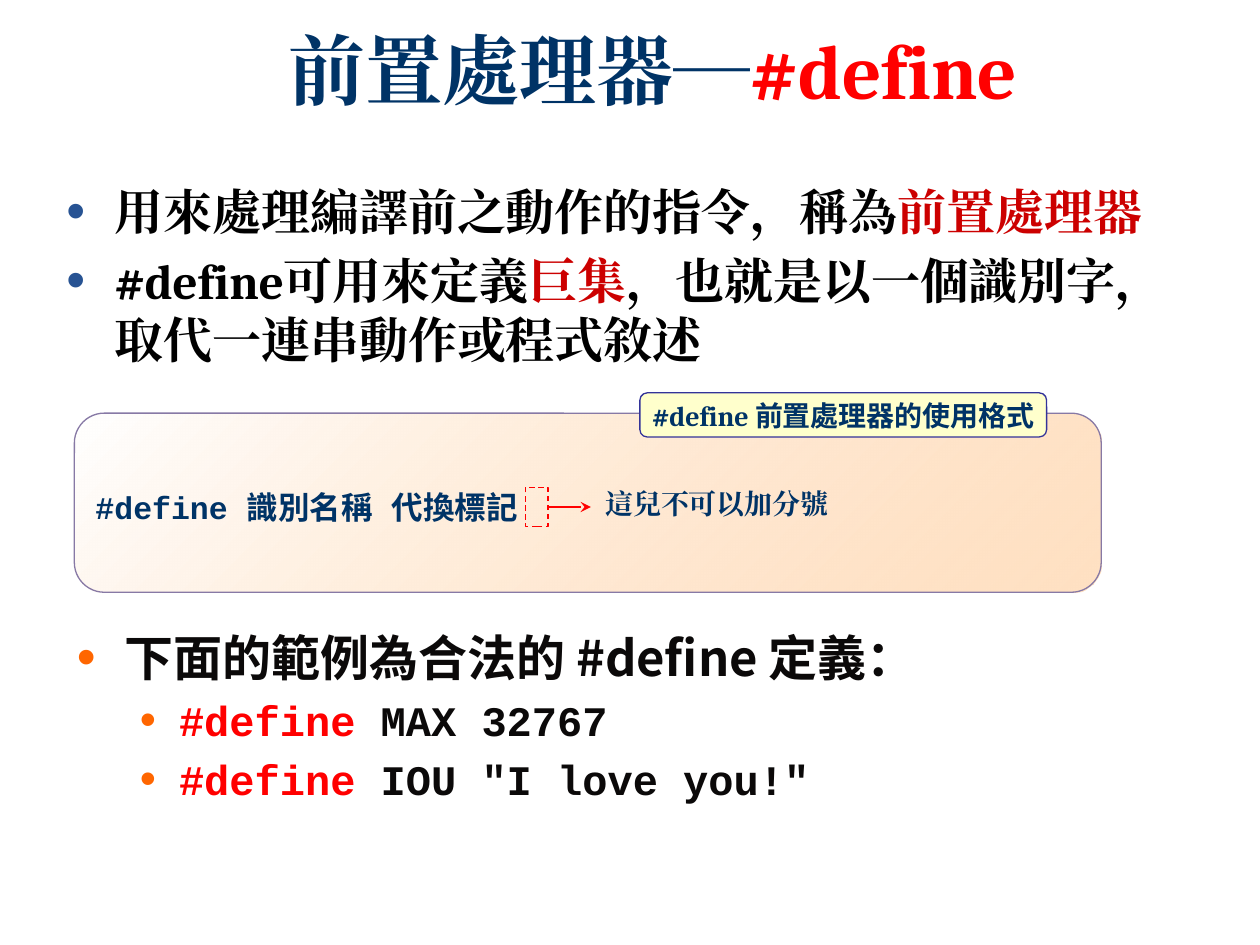
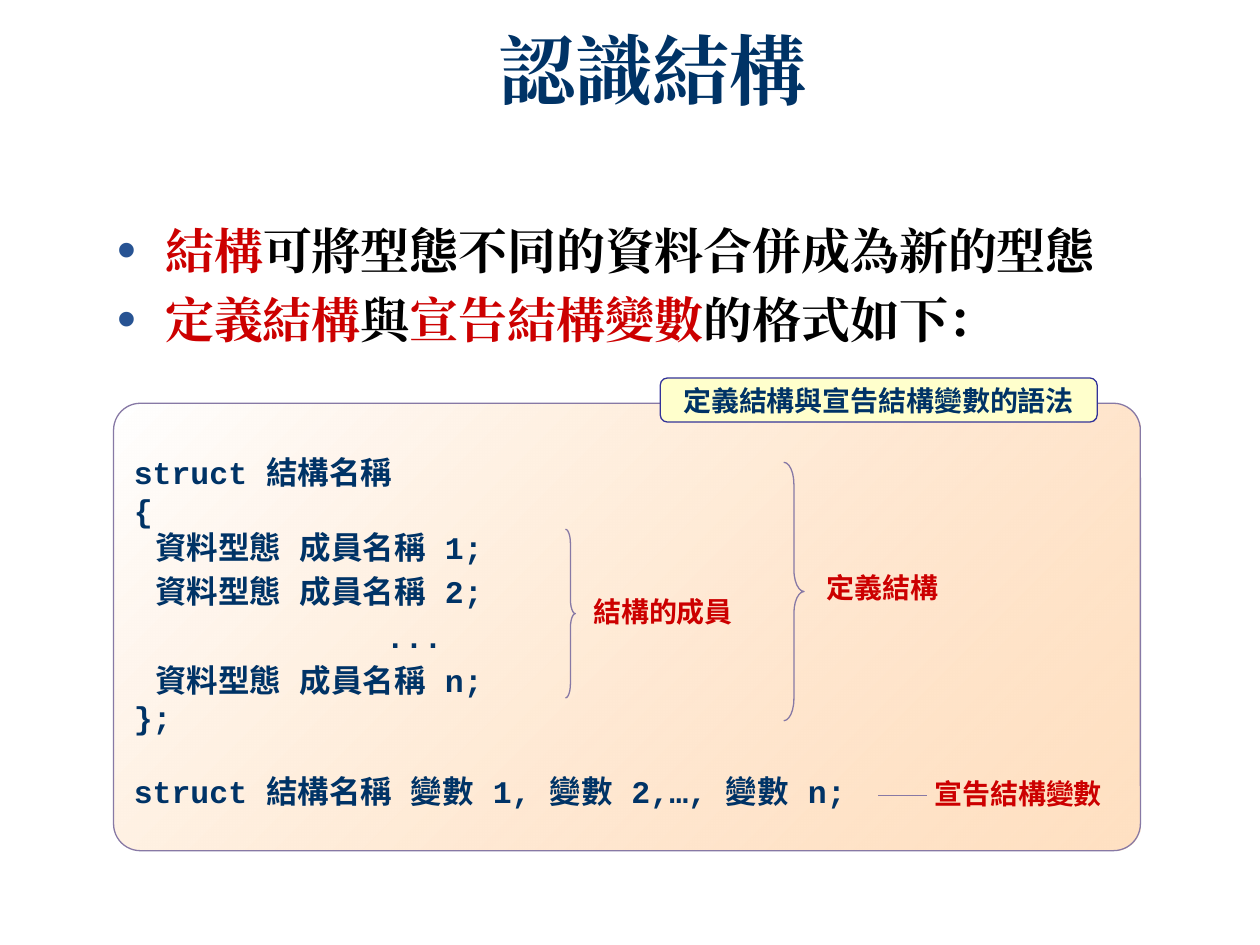
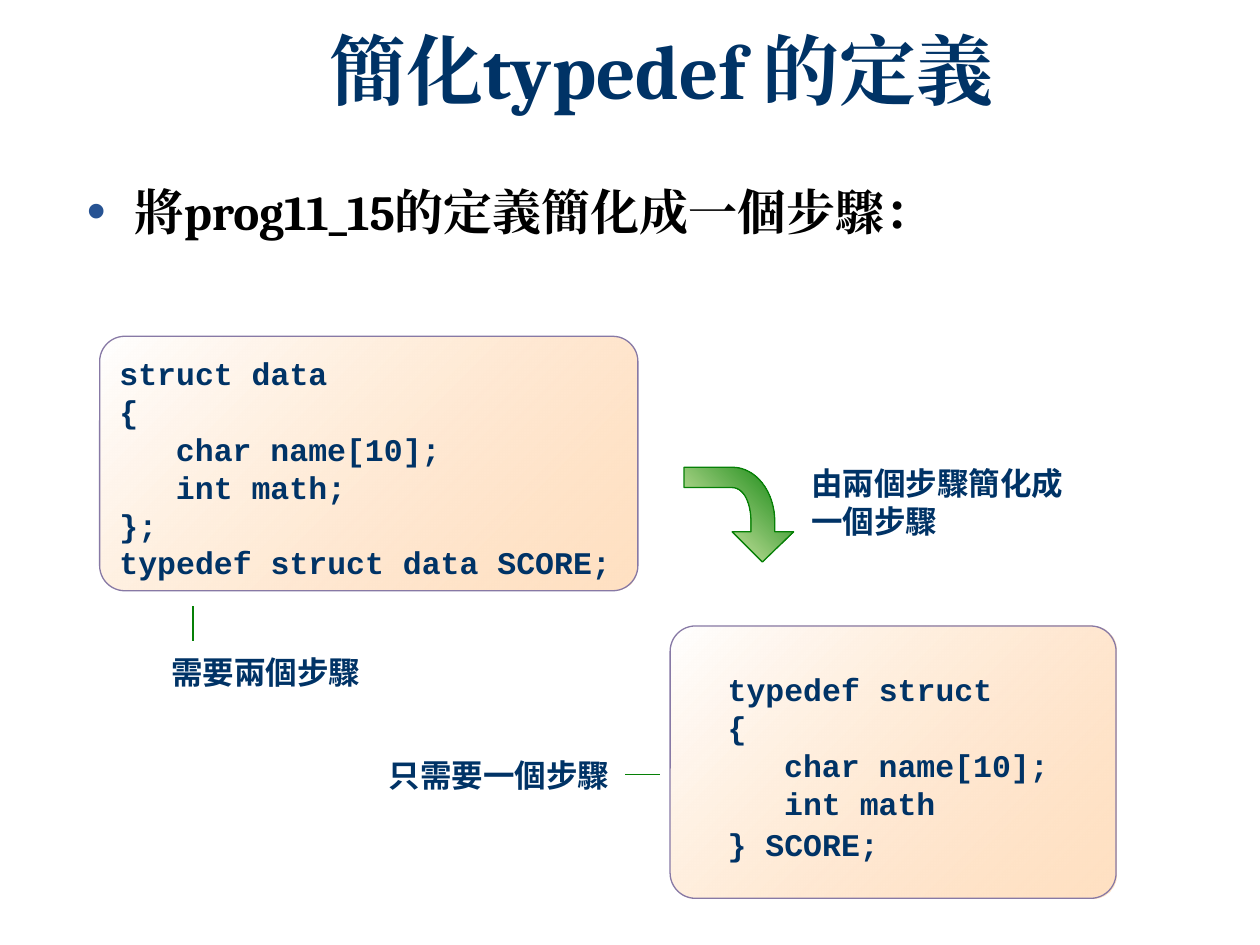
from dataclasses import dataclass, replace
from typing import NamedTuple

from lxml.etree import SubElement
from pptx import Presentation
from pptx.dml.color import RGBColor
from pptx.enum.dml import MSO_LINE_DASH_STYLE as Dash
from pptx.enum.shapes import MSO_CONNECTOR as Connector, MSO_SHAPE as Preset
from pptx.enum.text import MSO_ANCHOR as Anchor, MSO_AUTO_SIZE as AutoSize, PP_ALIGN as Align
from pptx.oxml.ns import qn
from pptx.util import Cm, Pt

NAVY, RED, CRIMSON, BLACK, INK = "003366", "FF0000", "CC0000", "000000", "0B0909"
BLUE_BULLET, ORANGE_BULLET = "275393", "FF6600"
WHITE, PEACH, CREAM, VIOLET, INDIGO, GREEN = "FFFFFF", "FFCC99", "FFFFCC", "8779A5", "333399", "068006"


class Box(NamedTuple):
    """Left, top, width and height in centimetres."""

    left: float
    top: float
    width: float
    height: float


class Style(NamedTuple):
    """Font, size in points and colour of a run."""

    font: str
    size: float
    color: str


class Run(NamedTuple):
    """A piece of text in one style."""

    text: str
    style: Style


@dataclass(frozen=True)
class Line:
    """One paragraph with its layout; the indents are in centimetres."""

    runs: tuple[Run, ...]
    align: Align = Align.LEFT
    indent: float = 0
    hanging: float = 0
    before: float = 0
    after: float = 0
    spacing: float | None = None
    bullet: str = ""


@dataclass(frozen=True)
class Frame:
    """How text sits in its shape; insets run left, top, right, bottom."""

    insets: tuple[float, float, float, float] = (0.25, 0.13, 0.25, 0.13)
    anchor: Anchor = Anchor.TOP
    wrap: bool = True
    grow: bool = False


TITLE = Style("Cambria", 44, NAVY)
BODY = Style("Cambria", 28, BLACK)
KEYWORD = BODY._replace(color=CRIMSON)
CODE = Style("Courier New", 18, NAVY)
TAG = Style("Noto Sans CJK JP", 16, NAVY)
SMALL = Style("Cambria", 16, NAVY)
LABEL = Style("Arial", 16, CRIMSON)
NOTE = Style("Arial", 18, NAVY)
EXAMPLE = Style("Noto Sans CJK SC", 28, INK)
EXAMPLE_CODE = Style("Courier New", 24, INK)

PANEL_FRAME = Frame(insets=(0.25, 0.3, 0.25, 0.13), anchor=Anchor.MIDDLE)
TAG_FRAME = Frame(anchor=Anchor.MIDDLE, wrap=False)
LABEL_FRAME = Frame(anchor=Anchor.MIDDLE, wrap=False, grow=True)
NOTE_FRAME = Frame(grow=True)


def rgb(color: str) -> RGBColor:
    """Turn a hex string into a colour."""
    return RGBColor.from_string(color)


def plain(text: str, style: Style, **layout) -> Line:
    """Make a paragraph of a single run."""
    return Line((Run(text, style),), **layout)


def bullet(*runs: Run, color: str = BLUE_BULLET, indent: float = 0.97, hanging: float = 0.97) -> Line:
    """Make a bulleted paragraph spaced by a fifth of its text size."""
    return Line(runs, indent=indent, hanging=hanging, before=0.2 * runs[0].style.size, bullet=color)


def write(shape, lines: list[Line], frame: Frame) -> None:
    """Write paragraphs run by run into a shape."""
    text_frame = shape.text_frame
    text_frame.word_wrap = frame.wrap
    text_frame.vertical_anchor = frame.anchor
    text_frame.auto_size = AutoSize.SHAPE_TO_FIT_TEXT if frame.grow else AutoSize.NONE
    left, top, right, bottom = map(Cm, frame.insets)
    text_frame.margin_left, text_frame.margin_top = left, top
    text_frame.margin_right, text_frame.margin_bottom = right, bottom
    for index, line in enumerate(lines):
        paragraph = text_frame.add_paragraph() if index else text_frame.paragraphs[0]
        paragraph.alignment = line.align
        paragraph.space_before, paragraph.space_after = Pt(line.before), Pt(line.after)
        if line.spacing:
            paragraph.line_spacing = line.spacing
        properties = paragraph._p.get_or_add_pPr()
        properties.set("marL", str(Cm(line.indent)))
        properties.set("indent", str(-Cm(line.hanging)))
        if line.bullet:
            bullet_color = SubElement(properties, qn("a:buClr"))
            SubElement(bullet_color, qn("a:srgbClr"), val=line.bullet)
            SubElement(properties, qn("a:buSzPct"), val="110000")
            SubElement(properties, qn("a:buFont"), typeface="Arial")
            SubElement(properties, qn("a:buChar"), char="•")
        for text, style in line.runs:
            run = paragraph.add_run()
            run.text = text
            run.font.name, run.font.size, run.font.bold = style.font, Pt(style.size), True
            run.font.color.rgb = rgb(style.color)
            SubElement(run._r.get_or_add_rPr(), qn("a:ea"), typeface=style.font)


def add_text(slide, box: Box, lines: list[Line], frame: Frame = Frame()) -> None:
    """Add a text box."""
    write(slide.shapes.add_textbox(*map(Cm, box)), lines, frame)


def outline(shape, color: str) -> None:
    """Give a shape or connector a thin line."""
    shape.line.color.rgb = rgb(color)
    shape.line.width = Pt(0.75)


def shade(shape, start: str, end: str, angle: float) -> None:
    """Fill a shape with a two-colour gradient."""
    shape.fill.gradient()
    shape.fill.gradient_angle = angle
    for stop, position, color in zip(shape.fill.gradient_stops, (0, 1), (start, end)):
        stop.position = position
        stop.color.rgb = rgb(color)


def add_preset(slide, preset: Preset, box: Box, line: str, adjust: float | None = None):
    """Add an unfilled preset shape."""
    shape = slide.shapes.add_shape(preset, *map(Cm, box))
    shape.shadow.inherit = False
    shape.fill.background()
    outline(shape, line)
    if adjust is not None:
        shape.adjustments[0] = adjust
    return shape


def add_panel(slide, box: Box, adjust: float, lines: list[Line]) -> None:
    """Add a shaded code panel."""
    shape = add_preset(slide, Preset.ROUNDED_RECTANGLE, box, VIOLET, adjust)
    shade(shape, WHITE, PEACH, 315)
    last_stop = list(shape.element.iter(qn("a:gs")))[-1]
    SubElement(last_stop[0], qn("a:alpha"), val="59000")
    write(shape, lines, PANEL_FRAME)


def add_tag(slide, box: Box, *runs: Run) -> None:
    """Add the yellow heading on a panel's top edge."""
    shape = add_preset(slide, Preset.ROUNDED_RECTANGLE, box, INDIGO)
    shape.fill.solid()
    shape.fill.fore_color.rgb = rgb(CREAM)
    write(shape, [Line(runs, align=Align.CENTER)], TAG_FRAME)


def add_line(slide, start: tuple[float, float], end: tuple[float, float], color: str):
    """Add a thin straight connector."""
    connector = slide.shapes.add_connector(Connector.STRAIGHT, *map(Cm, (*start, *end)))
    outline(connector, color)
    SubElement(connector.element.spPr, qn("a:effectLst"))
    return connector


def curve(*controls: tuple[float, float], steps: int = 16) -> list[tuple[float, float]]:
    """Sample a cubic curve after its first point."""
    points = []
    for step in range(1, steps + 1):
        t = step / steps
        weights = ((1 - t) ** 3, 3 * t * (1 - t) ** 2, 3 * t**2 * (1 - t), t**3)
        points.append(tuple(sum(w * p[axis] for w, p in zip(weights, controls)) for axis in (0, 1)))
    return points


def add_bent_arrow(slide) -> None:
    """Add the green arrow that bends downwards."""
    outer = curve((15.62, 10.52), (15.62, 9.91), (15.24, 9.42), (14.76, 9.42))
    inner = curve((14.76, 9.83), (14.99, 9.83), (15.14, 10.13), (15.14, 10.52))
    points = [(16, 10.72), (15.62, 10.72), (15.62, 10.52), *outer, (13.79, 9.42), (13.79, 9.83),
              (14.76, 9.83), *inner, (15.14, 10.72), (14.76, 10.72)]
    builder = slide.shapes.build_freeform(Cm(15.37), Cm(11.33))
    builder.add_line_segments([(Cm(x), Cm(y)) for x, y in points], close=True)
    arrow = builder.convert_to_shape()
    arrow.shadow.inherit = False
    shade(arrow, GREEN, CREAM, 225)
    outline(arrow, GREEN)


def add_titled_slide(presentation, *runs: Run, height: float = 3.99):
    """Add a blank slide with a centred title."""
    slide = presentation.slides.add_slide(presentation.slide_layouts[6])
    add_text(slide, Box(2.11, 0.53, 22.45, height), [Line(runs, align=Align.CENTER, spacing=0.9)])
    return slide


def build_define(presentation) -> None:
    """Build the slide on #define."""
    slide = add_titled_slide(presentation, Run("前置處理器─", TITLE),
                             Run("#define ", TITLE._replace(color=RED)), height=2.11)
    add_text(slide, Box(1.09, 3.53, 22.43, 3.68), [
        bullet(Run("用來處理編譯前之動作的指令，稱為", BODY), Run("前置處理器", KEYWORD)),
        bullet(Run("#define可用來定義", BODY), Run("巨集", KEYWORD),
               Run("，也就是以一個識別字，取代一連串動作或程式敘述", BODY)),
    ])
    add_panel(slide, Box(1.5, 8.33, 20.7, 3.61), 0.167, [plain("#define 識別名稱 代換標記", CODE)])
    add_tag(slide, Box(12.9, 7.92, 8.2, 0.89), Run("#define ", SMALL), Run("前置處理器的使用格式", TAG))
    blank = add_preset(slide, Preset.RECTANGLE, Box(10.59, 9.83, 0.46, 0.78), RED)
    blank.line.dash_style = Dash.DASH
    pointer = add_line(slide, (11.05, 10.22), (11.91, 10.22), RED)
    pointer.begin_connect(blank, 3)
    SubElement(pointer.line._get_or_add_ln(), qn("a:tailEnd"), type="stealth")
    add_text(slide, Box(11.71, 9.8, 5.49, 0.81),
             [plain("這兒不可以加分號", SMALL, align=Align.CENTER)], Frame(insets=(0, 0, 0, 0)))
    examples = [
        bullet(Run("#define", EXAMPLE_CODE._replace(color=RED)), Run(value, EXAMPLE_CODE),
               color=ORANGE_BULLET, indent=2.06, hanging=0.79)
        for value in (" MAX 32767", ' IOU "I love you!"')
    ]
    heading = bullet(Run("下面的範例為合法的 #define 定義：", EXAMPLE), color=ORANGE_BULLET)
    add_text(slide, Box(1.3, 12.52, 23.19, 4.19), [heading, *examples])


def build_struct(presentation) -> None:
    """Build the slide on structures."""
    slide = add_titled_slide(presentation, Run("認識結構 ", TITLE))
    add_text(slide, Box(2.11, 4.32, 22.43, 2.9), [
        bullet(Run("結構", KEYWORD), Run("可將型態不同的資料合併成為新的型態", BODY)),
        bullet(Run("定義結構", KEYWORD), Run("與", BODY), Run("宣告結構變數", KEYWORD),
               Run("的格式如下：", BODY)),
    ])
    first, second, last = (plain(f"資料型態 成員名稱 {number};", CODE, indent=0.43, after=3.6)
                           for number in "12n")
    add_panel(slide, Box(2.29, 8.13, 20.7, 9.02), 0.06, [
        plain("struct 結構名稱", CODE),
        plain("{", CODE),
        first,
        second,
        plain("...", CODE, indent=5.08, after=3.6),
        replace(last, after=0),
        plain("};", CODE),
        plain("struct 結構名稱 變數 1, 變數 2,…, 變數 n;", CODE, before=20.4),
    ])
    add_tag(slide, Box(13.31, 7.62, 8.81, 0.89), Run("定義結構與宣告結構變數的語法", TAG))
    add_preset(slide, Preset.RIGHT_BRACE, Box(11.4, 10.67, 0.2, 3.4), VIOLET, 1.43)
    add_preset(slide, Preset.RIGHT_BRACE, Box(15.8, 9.32, 0.41, 5.21), VIOLET, 1.08)
    add_line(slide, (17.7, 16.03), (18.69, 16.03), VIOLET)
    for text, box in (
        ("結構的成員", Box(11.71, 11.86, 3.33, 0.94)),
        ("定義結構", Box(16.41, 11.38, 2.77, 0.94)),
        ("宣告結構變數", Box(18.59, 15.52, 3.89, 0.94)),
    ):
        add_text(slide, box, [plain(text, LABEL)], LABEL_FRAME)


def build_typedef(presentation) -> None:
    """Build the slide on a shorter typedef."""
    slide = add_titled_slide(presentation, Run("簡化typedef 的定義", TITLE))
    add_text(slide, Box(1.5, 3.53, 22.43, 5.11), [bullet(Run("將prog11_15的定義簡化成一個步驟：", BODY))])
    add_panel(slide, Box(13.51, 12.62, 8.99, 5.49), 0.093, [
        plain("typedef struct", CODE, indent=0.76),
        plain("{", CODE, indent=0.76),
        plain("char name[10];", CODE, indent=1.9),
        plain("int math", CODE, indent=1.9, after=1.8),
        plain("} SCORE;", CODE, indent=0.76),
    ])
    add_panel(slide, Box(2.01, 6.78, 10.85, 5.13), 0.099, [
        plain("struct data", CODE),
        plain("{", CODE),
        plain("char name[10];", CODE, indent=1.14),
        plain("int math;", CODE, indent=1.14),
        plain("};", CODE),
        plain("typedef struct data SCORE;", CODE),
    ])
    add_bent_arrow(slide)
    for box, texts in (
        (Box(16.1, 9.22, 6.3, 1.78), ("由兩個步驟簡化成", "一個步驟")),
        (Box(3.2, 13.03, 6.3, 1.02), ("需要兩個步驟",)),
        (Box(7.59, 15.11, 5, 1.02), ("只需要一個步驟",)),
    ):
        add_text(slide, box, [plain(text, NOTE) for text in texts], NOTE_FRAME)
    add_line(slide, (3.89, 12.22), (3.89, 12.93), GREEN)
    add_line(slide, (12.6, 15.62), (13.31, 15.62), GREEN)


def main() -> None:
    """Build and save the presentation."""
    presentation = Presentation()
    presentation.slide_width, presentation.slide_height = Cm(25.4), Cm(19.05)
    build_define(presentation)
    build_struct(presentation)
    build_typedef(presentation)
    presentation.save("out.pptx")


if __name__ == "__main__":
    main()
